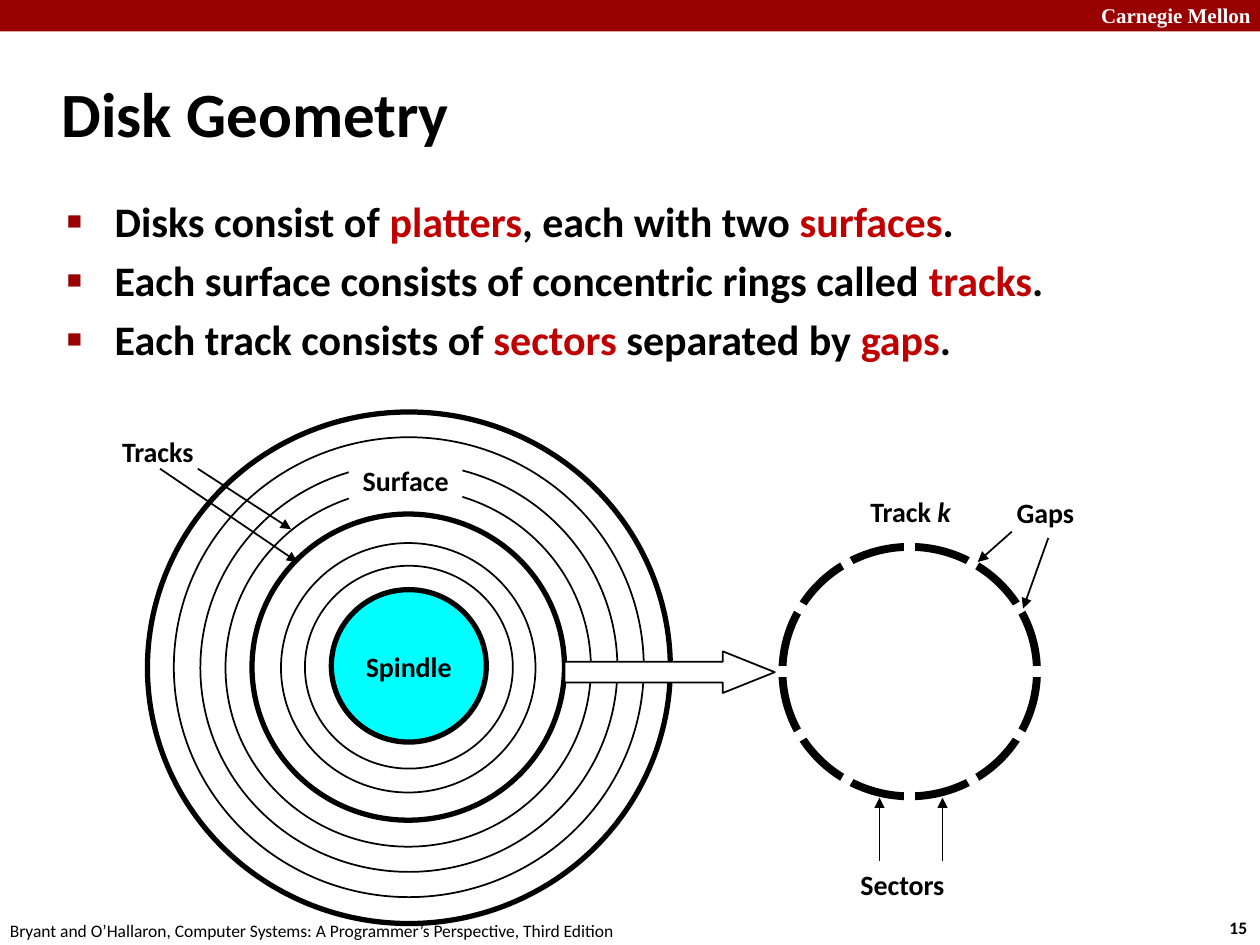
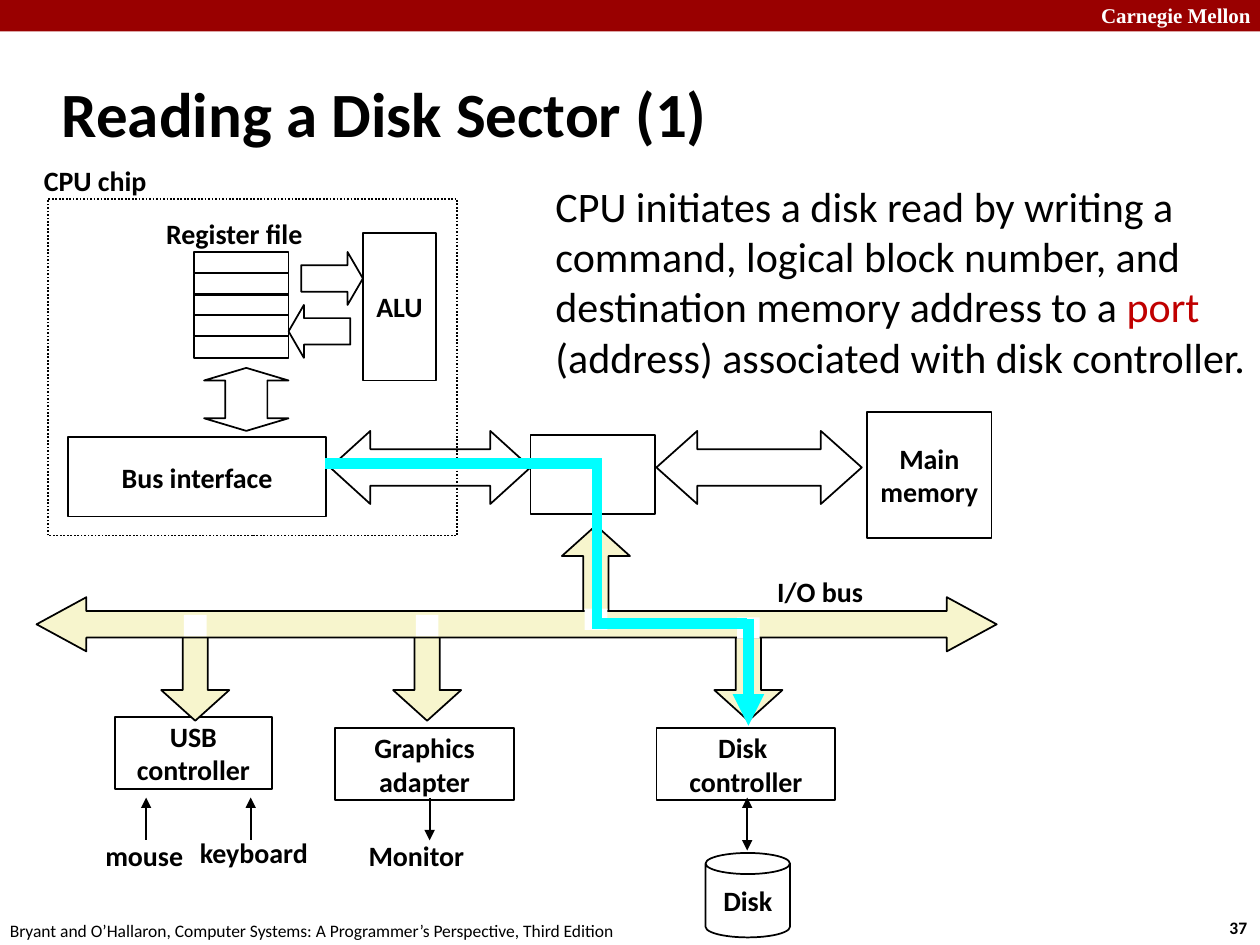
"""Build two lecture slides about disk geometry and disk reads."""
import dataclasses
import math

import pptx
import pptx.dml.color
import pptx.enum.dml
import pptx.enum.shapes
import pptx.enum.text
import pptx.oxml
import pptx.oxml.ns
import pptx.util
from lxml import etree

PX = 9144
SHAPE = pptx.enum.shapes.MSO_SHAPE
ALIGN = pptx.enum.text.PP_ALIGN
ANCHOR = pptx.enum.text.MSO_ANCHOR
AUTO_SIZE = pptx.enum.text.MSO_AUTO_SIZE


@dataclasses.dataclass(frozen=True)
class Theme:
    """Colours, fonts and type sizes of the deck."""

    black: str = "000000"
    white: str = "FFFFFF"
    band: str = "990000"
    accent: str = "C00000"
    cyan: str = "00FFFF"
    bus: str = "F7F5CD"
    font: str = "Calibri"
    header_font: str = "Times New Roman"
    title_size: int = 36
    body_size: int = 24
    label_size: int = 16
    header_size: int = 12
    footer_size: int = 10
    thin: float = 1
    thick: float = 3
    track: float = 4.5
    wide: float = 6


THEME = Theme()


def apply(target, values):
    """Set attributes of the target from a dict."""
    for name, value in values.items():
        setattr(target, name, value)


def rgb(colour):
    """Turn a hex string into a colour."""
    return pptx.dml.color.RGBColor.from_string(colour)


def add_element(parent, tag, **attributes):
    """Append a drawing element with its attributes."""
    element = etree.SubElement(parent, pptx.oxml.ns.qn(tag))
    for name, value in attributes.items():
        element.set(name, str(value))
    return element


def place(shape, left, top, width, height):
    """Move a shape to a box given in px."""
    apply(shape, dict(left=left * PX, top=top * PX, width=width * PX, height=height * PX))


def set_arrow_form(shape, shaft, head):
    """Set the shaft and head ratios of a block arrow by guide name."""
    guides = shape._element.spPr.find(".//" + pptx.oxml.ns.qn("a:avLst"))
    guides.clear()
    for name, ratio in (("adj1", shaft), ("adj2", head)):
        add_element(guides, "a:gd", name=name, fmla=f"val {round(ratio * 100000)}")


def paint(shape, fill, line):
    """Set the fill colour and the black outline width."""
    shape.shadow.inherit = False
    if fill:
        shape.fill.solid()
        shape.fill.fore_color.rgb = rgb(fill)
    else:
        shape.fill.background()
    if line:
        shape.line.color.rgb = rgb(THEME.black)
        shape.line.width = pptx.util.Pt(line)
    else:
        shape.line.fill.background()


def add_runs(paragraph, runs, size, bold=True, colour=THEME.black, font=THEME.font):
    """Write (text, changed font values) runs into a paragraph."""
    for text, changes in runs:
        run = paragraph.add_run()
        run.text = text
        values = dict(name=font, size=pptx.util.Pt(size), bold=bold) | changes
        run_colour = values.pop("colour", colour)
        apply(run.font, values)
        run.font.color.rgb = rgb(run_colour)


def write(shape, text, align=ALIGN.LEFT, wrap=False, grow=False,
          anchor=ANCHOR.MIDDLE, size=THEME.label_size, **style):
    """Fill a shape with lines of text or with one list of runs."""
    frame = shape.text_frame
    apply(frame, dict(word_wrap=wrap, vertical_anchor=anchor,
                      auto_size=AUTO_SIZE.SHAPE_TO_FIT_TEXT if grow else AUTO_SIZE.NONE))
    lines = [[(line, {})] for line in text.split("\n")] if isinstance(text, str) else [text]
    for index, runs in enumerate(lines):
        paragraph = frame.add_paragraph() if index else frame.paragraphs[0]
        paragraph.alignment = align
        add_runs(paragraph, runs, size, **style)


@dataclasses.dataclass
class Region:
    """A box on a slide whose parts are placed from its top left corner."""

    slide: object
    left: int
    top: int
    width: int
    height: int

    def shape(self, kind, box, text="", fill=None, line=THEME.thin, arrow_form=None, **style):
        """Add a preset shape with optional centred text."""
        shape = self.slide.shapes.add_shape(kind, 0, 0, 0, 0)
        place(shape, self.left + box[0], self.top + box[1], *box[2:])
        if arrow_form:
            set_arrow_form(shape, *arrow_form)
        paint(shape, fill, line)
        if text:
            write(shape, text, **dict(align=ALIGN.CENTER) | style)
        return shape

    def label(self, box, text, **style):
        """Add a text box that fits its text."""
        text_box = self.slide.shapes.add_textbox(0, 0, 0, 0)
        place(text_box, self.left + box[0], self.top + box[1], *box[2:])
        write(text_box, text, **dict(grow=True) | style)

    def line(self, start, end, colour=THEME.black, width=THEME.thin, arrows=()):
        """Add a straight line with arrowheads at the named ends."""
        ends = [offset * PX for x, y in (start, end) for offset in (self.left + x, self.top + y)]
        connector = self.slide.shapes.add_connector(
            pptx.enum.shapes.MSO_CONNECTOR.STRAIGHT, *ends)
        connector.line.color.rgb = rgb(colour)
        connector.line.width = pptx.util.Pt(width)
        properties = connector._element.spPr
        outline = properties.find(pptx.oxml.ns.qn("a:ln"))
        for arrow in arrows:
            add_element(outline, f"a:{arrow}End", type="triangle")
        add_element(properties, "a:effectLst")


def add_slide(presentation, layout, title, number):
    """Add a slide with the shared band, footer and title."""
    slide = presentation.slides.add_slide(presentation.slide_layouts[layout])
    page = Region(slide, 0, 0, 1000, 750)
    page.shape(SHAPE.RECTANGLE, (0, 0, page.width, 25), fill=THEME.band, line=None)
    page.label((864, -3, 143, 30), "Carnegie Mellon", wrap=True, anchor=ANCHOR.TOP,
               size=THEME.header_size, colour=THEME.white, font=THEME.header_font)
    page.label((966, 723, 37, 27), number, anchor=ANCHOR.TOP, size=THEME.footer_size)
    page.label((-2, 725, 508, 27),
               "Bryant and O’Hallaron, Computer Systems: A Programmer’s Perspective, Third Edition",
               anchor=ANCHOR.TOP, size=THEME.footer_size, bold=False)
    place(slide.shapes.title, 39, 48, 830, 83)
    write(slide.shapes.title, title, wrap=True, size=THEME.title_size)
    return slide


def add_bullets(slide, box, items):
    """Fill the body placeholder with square bullets."""
    body = slide.placeholders[1]
    place(body, *box)
    frame = body.text_frame
    apply(frame, dict(auto_size=AUTO_SIZE.NONE, vertical_anchor=ANCHOR.TOP))
    for index, runs in enumerate(items):
        paragraph = frame.add_paragraph() if index else frame.paragraphs[0]
        paragraph.space_before = pptx.util.Pt(5 if index else 0)
        properties = paragraph._p.get_or_add_pPr()
        properties.set("marL", str(38 * PX))
        properties.set("indent", str(-38 * PX))
        add_element(add_element(properties, "a:buClr"), "a:srgbClr", val=THEME.band)
        add_element(properties, "a:buSzPct", val=60000)
        add_element(properties, "a:buChar", char="■")
        add_runs(paragraph, runs, THEME.body_size)


def draw_track(region):
    """Draw one track cut into sectors by twelve gaps."""
    region.shape(SHAPE.OVAL, (0, 0, region.width, region.height), line=THEME.track)
    region.label((60, -46, 87, 37), [("Track ", {}), ("k", dict(italic=True))], anchor=ANCHOR.TOP)
    centre_x, centre_y, reach = region.width // 2, region.height // 2, 116
    for step in range(12):
        angle = math.radians(30 * step)
        end = (centre_x + round(reach * math.cos(angle)), centre_y + round(reach * math.sin(angle)))
        region.line((centre_x, centre_y), end, THEME.white, THEME.wide)
    region.label((52, 249, 88, 37), "Sectors")
    region.label((176, -46, 66, 37), "Gaps")
    for start, end in (((77, 249), (77, 199)), ((127, 249), (127, 199)),
                       ((182, -12), (155, 12)), ((211, -7), (191, 49))):
        region.line(start, end, arrows=["tail"])


def draw_platter(region):
    """Draw the platter surface, its tracks and the spindle."""
    rings = ((415, THEME.thick), (373, THEME.thin), (331, THEME.thin), (290, THEME.thin),
             (248, THEME.thick), (202, THEME.thin), (165, THEME.thin))
    for width, line in rings:
        height = round(width * region.height / region.width)
        box = ((region.width - width) // 2, (region.height - height) // 2, width, height)
        region.shape(SHAPE.OVAL, box, line=line)
    region.shape(SHAPE.OVAL, (146, 141, 123, 121), "Spindle", THEME.cyan, THEME.thick)
    region.shape(SHAPE.RECTANGLE, (160, 36, 90, 37), "Surface", THEME.white, None,
                 anchor=ANCHOR.TOP, grow=True)
    for start, end in (((10, 45), (119, 119)), ((40, 45), (114, 93))):
        region.line(start, end, arrows=["tail"])
    region.label((-30, 13, 79, 37), "Tracks")
    region.shape(SHAPE.RIGHT_ARROW, (331, 190, 167, 33), fill=THEME.white, arrow_form=(0.5, 1.25))


def draw_chip(region):
    """Draw the processor chip with registers, ALU and bus interface."""
    outline = region.shape(SHAPE.RECTANGLE, (0, 0, region.width, region.height))
    outline.line.dash_style = pptx.enum.dml.MSO_LINE.ROUND_DOT
    region.label((-13, -33, 103, 37), "CPU chip")
    for index in range(5):
        region.shape(SHAPE.RECTANGLE, (116, 42 + round(index * 50 / 3), 75, 17))
    region.label((83, 9, 130, 37), "Register file", align=ALIGN.CENTER)
    region.shape(SHAPE.RIGHT_ARROW, (201, 42, 49, 42), arrow_form=(0.5, 0.29))
    region.shape(SHAPE.LEFT_ARROW, (191, 84, 49, 42), arrow_form=(0.5, 0.29))
    region.shape(SHAPE.RECTANGLE, (250, 27, 58, 117), "ALU")
    region.shape(SHAPE.UP_DOWN_ARROW, (124, 134, 67, 50), arrow_form=(0.5, 0.2))
    region.shape(SHAPE.RECTANGLE, (16, 189, 205, 63), "Bus interface")


def draw_memory_bus(region):
    """Draw the bridge between the chip and main memory."""
    region.shape(SHAPE.LEFT_RIGHT_ARROW, (0, 15, 159, 58), arrow_form=(0.5, 0.55))
    region.shape(SHAPE.RECTANGLE, (159, 18, 99, 63))
    region.shape(SHAPE.LEFT_RIGHT_ARROW, (259, 15, 163, 58), arrow_form=(0.5, 0.56))
    region.shape(SHAPE.RECTANGLE, (426, 0, 99, 100), "Main\nmemory")


def draw_io_bus(region):
    """Draw the I/O bus, its branches and the patches at the joints."""
    branches = ((SHAPE.UP_ARROW, 417, 0, 66), (SHAPE.DOWN_ARROW, 99, 80, 71),
                (SHAPE.DOWN_ARROW, 283, 80, 71), (SHAPE.DOWN_ARROW, 538, 80, 73))
    for kind, left, top, _ in branches:
        region.shape(kind, (left, top, 54, 75), fill=THEME.bus, arrow_form=(0.37, 0.45))
    region.shape(SHAPE.LEFT_RIGHT_ARROW, (0, 57, region.width, 43), fill=THEME.bus,
                 arrow_form=(0.49, 0.92))
    for _, left, _, patch_top in branches:
        region.shape(SHAPE.RECTANGLE, (left + 18, patch_top, 18, 17), fill=THEME.white, line=None)
    region.label((578, 34, 89, 37), "I/O bus")


def draw_devices(region):
    """Draw the controllers and the devices attached to them."""
    for box, text in (((0, 0, 125, 57), "USB\ncontroller"),
                      ((175, 9, 142, 57), "Graphics\nadapter"),
                      ((430, 9, 142, 57), "Disk \ncontroller")):
        region.shape(SHAPE.RECTANGLE, box, text)
    for x, bottom, arrows in ((25, 98, ["head"]), (108, 98, ["head"]),
                              (250, 98, ["tail"]), (502, 106, ["head", "tail"])):
        region.line((x, 64), (x, bottom), arrows=arrows)
    for box, text in (((-18, 91, 83, 37), "mouse"), ((57, 89, 107, 37), "keyboard"),
                      ((191, 91, 97, 37), "Monitor")):
        region.label(box, text, align=ALIGN.CENTER)
    region.shape(SHAPE.CAN, (469, 108, 67, 67), "Disk")


def draw_command_path(region):
    """Draw the way of the command from the chip to the disk controller."""
    for start, end, arrows in (((0, 0), (220, 0), ()), ((216, 0), (216, 124), ()),
                               ((212, 127), (335, 127), ()),
                               ((336, 123), (336, region.height), ["tail"])):
        region.line(start, end, THEME.cyan, THEME.wide, arrows)


def build_geometry_slide(presentation):
    """Build the slide on disk geometry."""
    slide = add_slide(presentation, 1, "Disk Geometry", "15")
    accent = dict(colour=THEME.accent)
    add_bullets(slide, (43, 150, 864, 544), [
        [("Disks consist of ", {}), ("platters", accent), (", each with two ", {}),
         ("surfaces", accent), (".", {})],
        [("Each surface consists of concentric rings called ", {}), ("tracks", accent), (".", {})],
        [("Each track consists of ", {}), ("sectors ", accent), ("separated by ", {}),
         ("gaps", accent), (".", {})],
    ])
    draw_track(Region(slide, 621, 434, 202, 198))
    draw_platter(Region(slide, 117, 327, 415, 406))


def build_reading_slide(presentation):
    """Build the slide on the first step of a disk read."""
    slide = add_slide(presentation, 5, "Reading a Disk Sector (1)", "37")
    draw_memory_bus(Region(slide, 262, 327, 525, 100))
    draw_chip(Region(slide, 38, 158, 325, 267))
    draw_devices(Region(slide, 91, 569, 572, 175))
    draw_io_bus(Region(slide, 29, 417, 762, 155))
    draw_command_path(Region(slide, 258, 368, 336, 208))
    note = Region(slide, 431, 138, 582, 172)
    note.label((0, 0, note.width, note.height), [
        ("CPU initiates a disk read by writing a command, logical block number, "
         "and destination memory address to a ", {}),
        ("port ", dict(colour=THEME.accent)),
        ("(address) associated with disk controller.", {}),
    ], wrap=True, anchor=ANCHOR.TOP, size=THEME.body_size, bold=False)


def main():
    """Build and save the deck."""
    presentation = pptx.Presentation()
    apply(presentation, dict(slide_width=1000 * PX, slide_height=750 * PX))
    build_geometry_slide(presentation)
    build_reading_slide(presentation)
    presentation.save("out.pptx")


if __name__ == "__main__":
    main()
